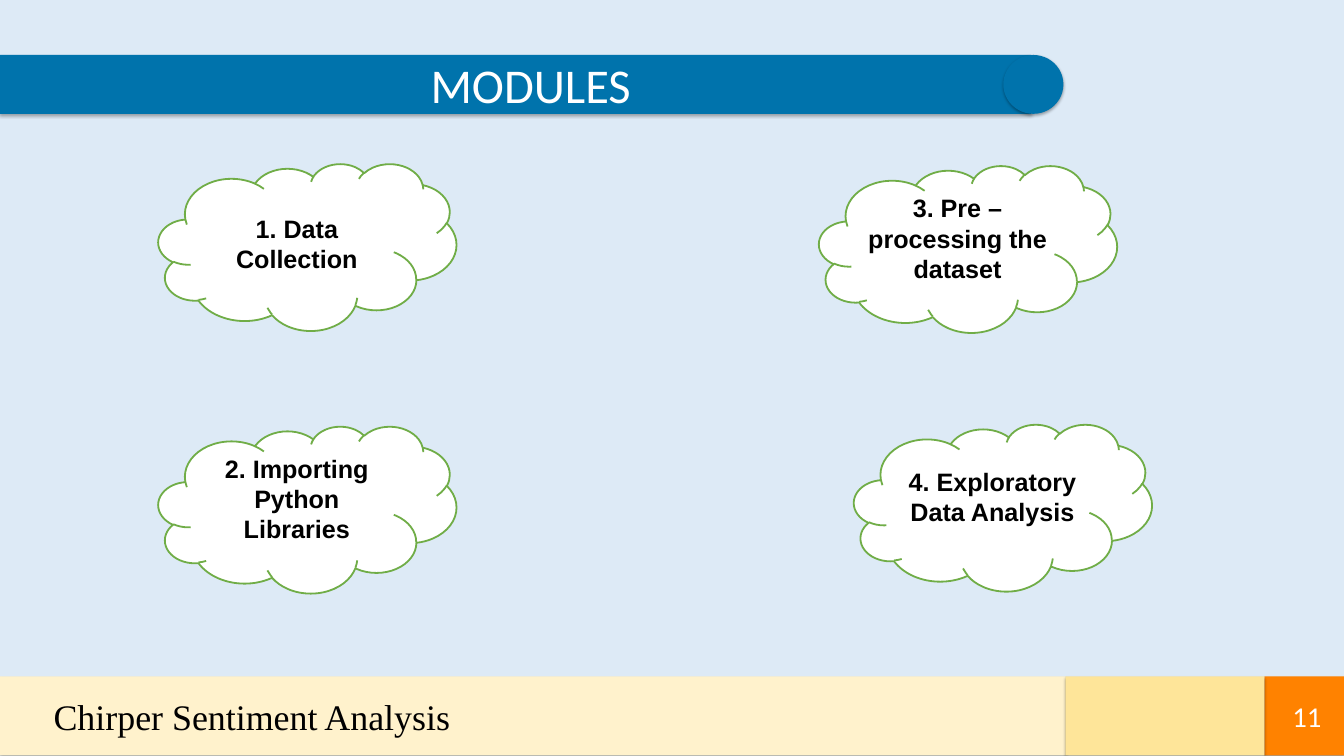
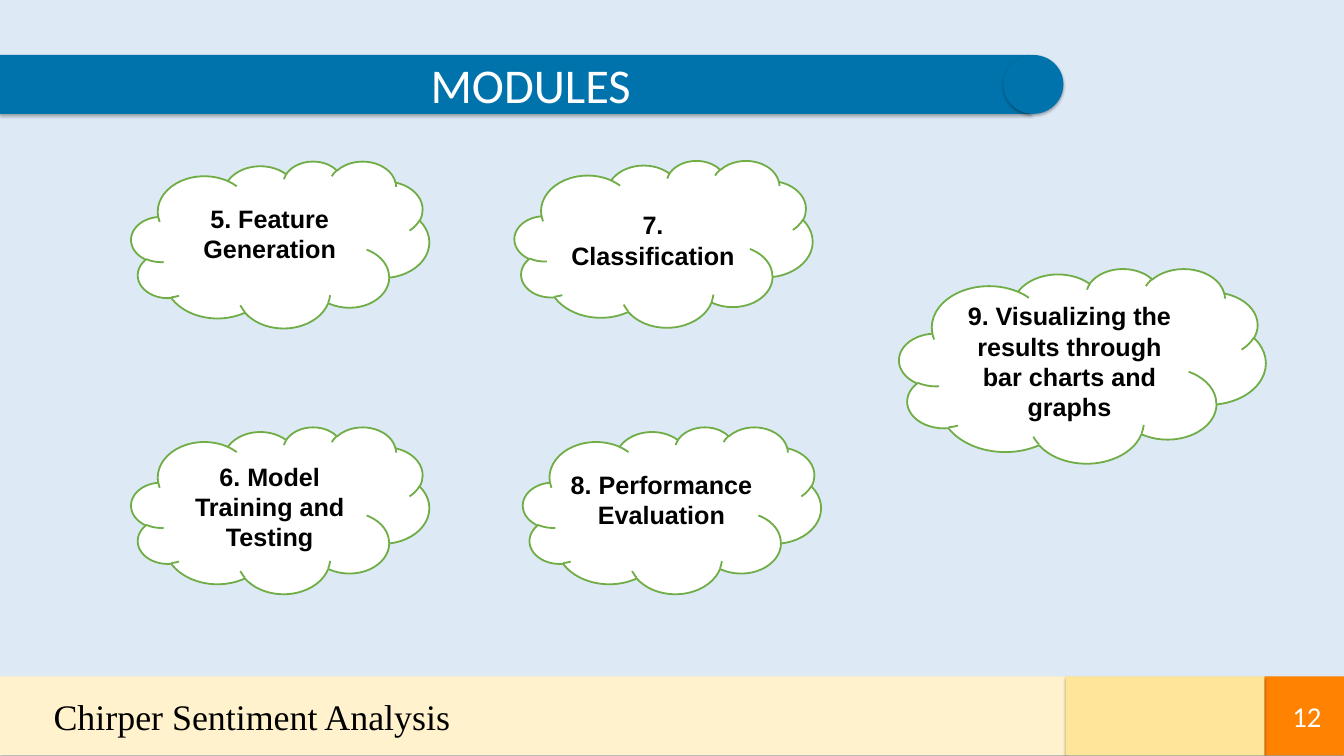
"""Build two slides that list the modules of a sentiment analysis project."""
from dataclasses import dataclass

import lxml.etree
import pptx
import pptx.dml.color
import pptx.enum.shapes
import pptx.enum.text
import pptx.oxml.ns
import pptx.util

EMU_PER_PX = 9144
SLIDE_WIDTH, SLIDE_HEIGHT = 2079, 1169
FOOTER_TOP, FOOTER_HEIGHT = 1046, 122
COLORS = {
    "background": "DDEAF6",
    "cream": "FFF2CC",
    "yellow": "FEE599",
    "orange": "FF8200",
    "blue": "0073AC",
    "green": "70AD47",
    "white": "FFFFFF",
    "black": "000000",
}
ALIGN = pptx.enum.text.PP_ALIGN
ANCHOR = pptx.enum.text.MSO_ANCHOR
SHAPE = pptx.enum.shapes.MSO_SHAPE


@dataclass(frozen=True)
class Box:
    left: int
    top: int
    width: int
    height: int

    def emu(self) -> list[pptx.util.Emu]:
        return [px(value) for value in (self.left, self.top, self.width, self.height)]


@dataclass(frozen=True)
class TextStyle:
    font: str
    size: int
    color: str
    align: ALIGN = ALIGN.LEFT
    anchor: ANCHOR = ANCHOR.TOP
    bold: bool = False


@dataclass(frozen=True)
class Cloud:
    text: str
    left: int
    top: int
    width: int = 461
    height: int = 258
    raised: bool = False


@dataclass(frozen=True)
class Band:
    left: int
    right: int
    color: str


TITLE_BOX = Box(0, 85, 1595, 91)
TITLE_CAP_BOX = Box(1552, 85, 93, 91)
FOOTER_TEXT_BOX = Box(73, 1069, 1233, 77)
NUMBER_BOX = Box(1931, 1093, 123, 29)
TITLE_INDENT = 47
RAISED_MARGIN = 27

TITLE_STYLE = TextStyle("Calibri", 54, "white", ALIGN.CENTER)
FOOTER_STYLE = TextStyle("Times New Roman", 40, "black")
NUMBER_STYLE = TextStyle("Calibri", 32, "white", ALIGN.RIGHT, ANCHOR.MIDDLE)
CLOUD_STYLE = TextStyle("Arial", 28, "black", ALIGN.CENTER, ANCHOR.MIDDLE, True)

FOOTER_BANDS = [
    Band(0, 1648, "cream"),
    Band(1956, SLIDE_WIDTH, "orange"),
    Band(1648, 1956, "yellow"),
]
CLOUDS_BY_PAGE = {
    11: [
        Cloud("2. Importing Python Libraries", 245, 659, raised=True),
        Cloud("1. Data Collection", 245, 253),
        Cloud("3. Pre – processing the dataset", 1267, 256, raised=True),
        Cloud("4. Exploratory Data Analysis", 1321, 656, raised=True),
    ],
    12: [
        Cloud("5. Feature Generation", 203, 249, raised=True),
        Cloud("6. Model Training and Testing", 203, 660),
        Cloud("7. Classification", 796, 248),
        Cloud("9. Visualizing the results through bar charts and graphs", 1391, 415, 567, 301),
        Cloud("8. Performance Evaluation", 809, 660, raised=True),
    ],
}


def px(value: int) -> pptx.util.Emu:
    """Turn whole pixels into EMU."""
    return pptx.util.Emu(value * EMU_PER_PX)


def rgb(name: str) -> pptx.dml.color.RGBColor:
    """Look up a named colour."""
    return pptx.dml.color.RGBColor.from_string(COLORS[name])


def paint(shape, fill: str) -> None:
    """Give a shape a flat fill, no outline and no shadow."""
    shape.shadow.inherit = False
    shape.fill.solid()
    shape.fill.fore_color.rgb = rgb(fill)
    shape.line.fill.background()


def add_soft_shadow(shape) -> None:
    """Put a soft shadow below a painted shape."""
    qn = pptx.oxml.ns.qn
    effects = shape.element.spPr.find(qn("a:effectLst"))
    shadow = lxml.etree.SubElement(
        effects,
        qn("a:outerShdw"),
        blurRad=str(pptx.util.Pt(3.5)),
        dist=str(pptx.util.Pt(2.2)),
        dir="5400000",
        algn="t",
        rotWithShape="0",
    )
    color = lxml.etree.SubElement(shadow, qn("a:srgbClr"), val=COLORS["black"])
    lxml.etree.SubElement(color, qn("a:alpha"), val="32000")


def write(shape, text: str, style: TextStyle) -> None:
    """Write one wrapped paragraph in the given style."""
    frame = shape.text_frame
    frame.text = text
    frame.word_wrap = True
    frame.auto_size = pptx.enum.text.MSO_AUTO_SIZE.NONE
    frame.vertical_anchor = style.anchor
    paragraph = frame.paragraphs[0]
    paragraph.alignment = style.align
    paragraph.font.name = style.font
    paragraph.font.size = pptx.util.Pt(style.size)
    paragraph.font.bold = style.bold
    paragraph.font.color.rgb = rgb(style.color)


def add_panel(slide, kind: SHAPE, box: Box, fill: str) -> None:
    """Add a filled shape with a soft shadow."""
    shape = slide.shapes.add_shape(kind, *box.emu())
    paint(shape, fill)
    add_soft_shadow(shape)


def add_label(slide, box: Box, text: str, style: TextStyle) -> None:
    """Add a text box."""
    write(slide.shapes.add_textbox(*box.emu()), text, style)


def add_title(slide, text: str) -> None:
    """Turn the title placeholder into the rounded title band."""
    title = slide.shapes.title
    title.left, title.top, title.width, title.height = TITLE_BOX.emu()
    paint(title, "blue")
    add_soft_shadow(title)
    write(title, text, TITLE_STYLE)
    frame = title.text_frame
    frame.margin_left = px(TITLE_INDENT)
    frame.margin_top = frame.margin_right = frame.margin_bottom = 0
    add_panel(slide, SHAPE.OVAL, TITLE_CAP_BOX, "blue")


def add_footer(slide, page: int) -> None:
    """Add the footer bands, the project name and the page number."""
    for band in FOOTER_BANDS:
        box = Box(band.left, FOOTER_TOP, band.right - band.left, FOOTER_HEIGHT)
        add_panel(slide, SHAPE.RECTANGLE, box, band.color)
    add_label(slide, FOOTER_TEXT_BOX, "Chirper Sentiment Analysis", FOOTER_STYLE)
    add_label(slide, NUMBER_BOX, str(page), NUMBER_STYLE)


def add_cloud(slide, cloud: Cloud) -> None:
    """Add a cloud that names one module."""
    box = Box(cloud.left, cloud.top, cloud.width, cloud.height)
    shape = slide.shapes.add_shape(SHAPE.CLOUD, *box.emu())
    paint(shape, "white")
    shape.line.color.rgb = rgb("green")
    shape.line.width = pptx.util.Pt(2)
    write(shape, cloud.text, CLOUD_STYLE)
    if cloud.raised:
        shape.text_frame.margin_bottom = px(RAISED_MARGIN)


def main() -> None:
    """Build and save the presentation."""
    presentation = pptx.Presentation()
    presentation.slide_width = px(SLIDE_WIDTH)
    presentation.slide_height = px(SLIDE_HEIGHT)
    background = presentation.slide_master.background.fill
    background.solid()
    background.fore_color.rgb = rgb("background")
    title_only = presentation.slide_layouts.get_by_name("Title Only")
    for page, clouds in CLOUDS_BY_PAGE.items():
        slide = presentation.slides.add_slide(title_only)
        add_footer(slide, page)
        add_title(slide, "MODULES")
        for cloud in clouds:
            add_cloud(slide, cloud)
    presentation.save("out.pptx")


if __name__ == "__main__":
    main()
